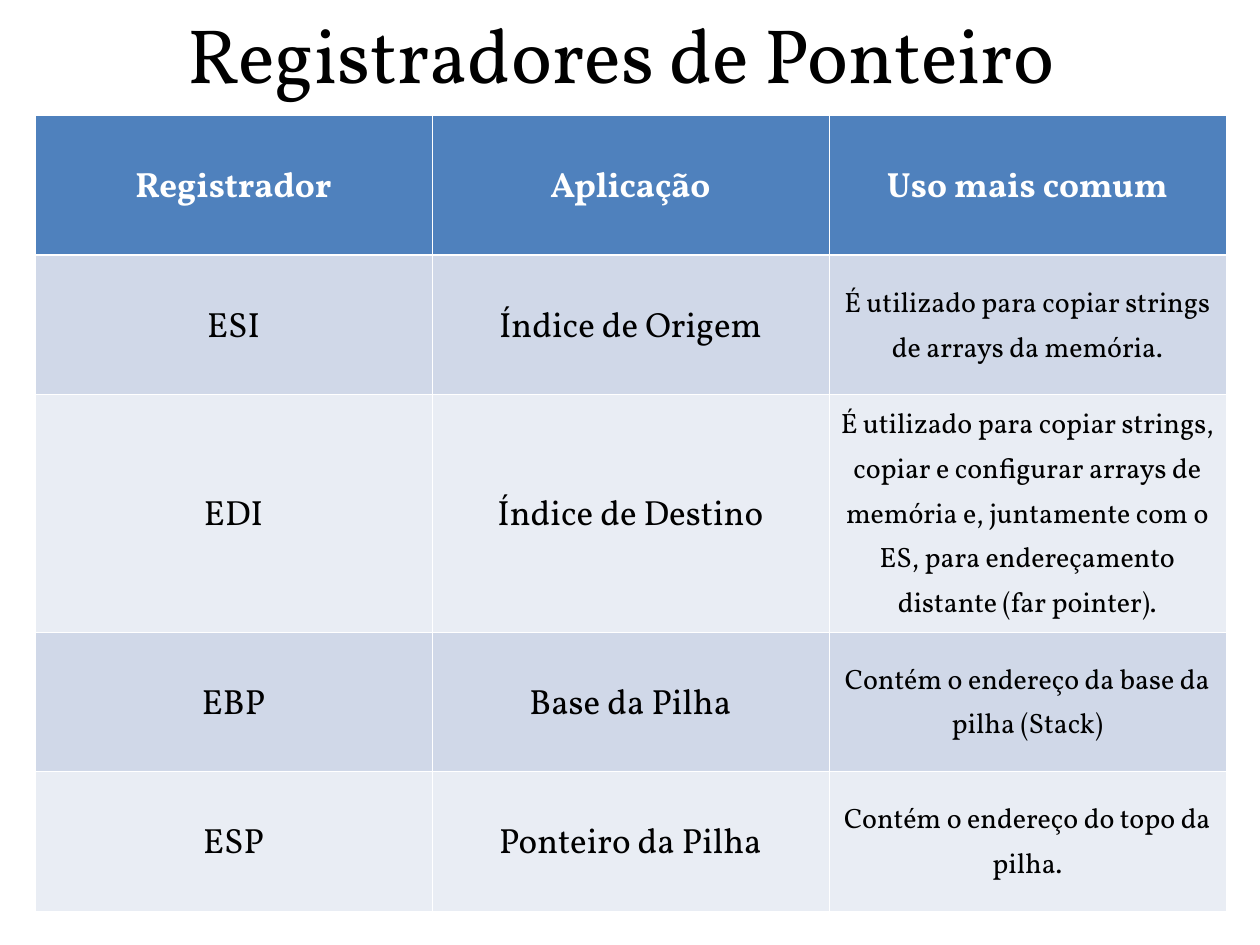
import pptx
import pptx.util
import pptx.dml.color
import pptx.enum.text
import pptx.oxml
import pptx.oxml.ns

RGB = pptx.dml.color.RGBColor
WHITE = RGB(0xFF, 0xFF, 0xFF)
BLACK = RGB(0x00, 0x00, 0x00)
BLUE = RGB(0x4F, 0x81, 0xBD)
BANDS = [RGB(0xE9, 0xED, 0xF4), RGB(0xD0, 0xD8, 0xE8)]
PX = 914400 // 126
MID = pptx.enum.text.MSO_ANCHOR.MIDDLE
ROWS = [
    ("Registrador", "Aplicação", "Uso mais comum"),
    ("ESI", "Índice de Origem", "É utilizado para copiar strings de arrays da memória."),
    ("EDI", "Índice de Destino",
     "É utilizado para copiar strings, copiar e configurar arrays de memória e, "
     "juntamente com o ES, para endereçamento distante (far pointer)."),
    ("EBP", "Base da Pilha", "Contém o endereço da base da pilha (Stack)"),
    ("ESP", "Ponteiro da Pilha", "Contém o endereço do topo da pilha."),
]
HEIGHTS = [140, 139, 238, 139, 140]


def write(frame, text, size, color, bold=False):
    par = frame.paragraphs[0]
    par.alignment = pptx.enum.text.PP_ALIGN.CENTER
    run = par.add_run()
    run.text = text
    run.font.name = "Vollkorn"
    run.font.size = pptx.util.Pt(size)
    run.font.color.rgb = color
    run.font.bold = bold
    return par


def edge(cell, side, width):
    line = pptx.oxml.parse_xml(
        f'<a:{side} {pptx.oxml.ns.nsdecls("a")} w="{pptx.util.Pt(width)}">'
        f'<a:solidFill><a:srgbClr val="{WHITE}"/></a:solidFill></a:{side}>')
    cell._tc.get_or_add_tcPr().append(line)


deck = pptx.Presentation()
deck.slide_width = 1260 * PX
deck.slide_height = 945 * PX
slide = deck.slides.add_slide(deck.slide_layouts[6])

title = slide.shapes.add_textbox(54 * PX, 0, 1134 * PX, 106 * PX).text_frame
title.word_wrap = True
title.vertical_anchor = MID
write(title, "Registradores de Ponteiro", 44, BLACK)

table = slide.shapes.add_table(
    len(ROWS), 3, 35 * PX, 115 * PX, 1191 * PX, sum(HEIGHTS) * PX).table
for col in table.columns:
    col.width = 397 * PX

for r, row in enumerate(ROWS):
    table.rows[r].height = HEIGHTS[r] * PX
    head = r == 0
    for c, text in enumerate(row):
        cell = table.cell(r, c)
        cell.vertical_anchor = MID
        cell.margin_left = cell.margin_right = 10 * PX
        cell.margin_top = cell.margin_bottom = 6 * PX
        for side in ("lnL", "lnR", "lnT", "lnB"):
            thick = (r, side) in ((0, "lnB"), (1, "lnT"))
            edge(cell, side, 1.47 if thick else 0.45)
        cell.fill.solid()
        cell.fill.fore_color.rgb = BLUE if head else BANDS[r % 2]
        size = 16 if c == 2 and not head else 20
        par = write(cell.text_frame, text, size, WHITE if head else BLACK, head)
        par.line_spacing = 1.15

deck.save("out.pptx")
